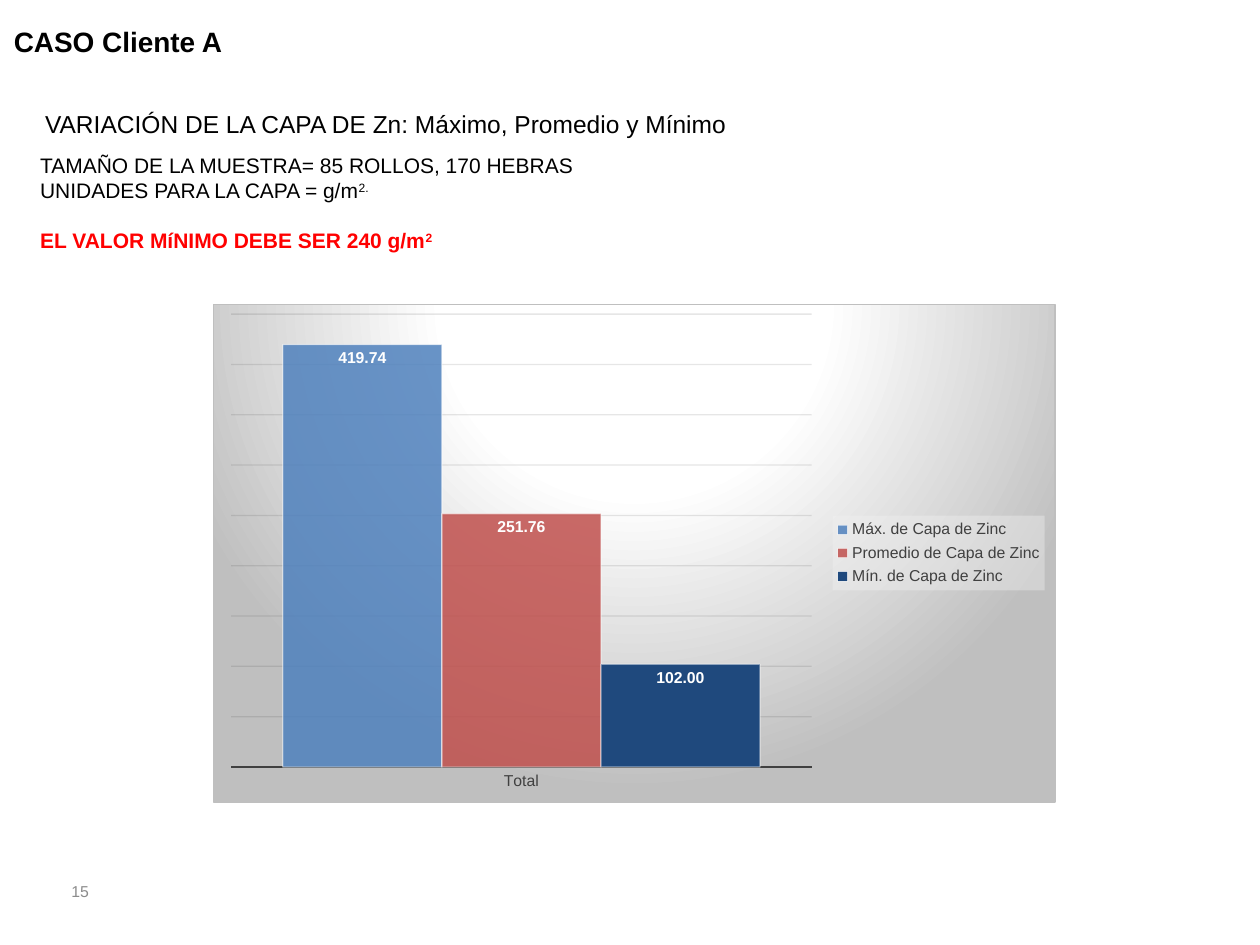
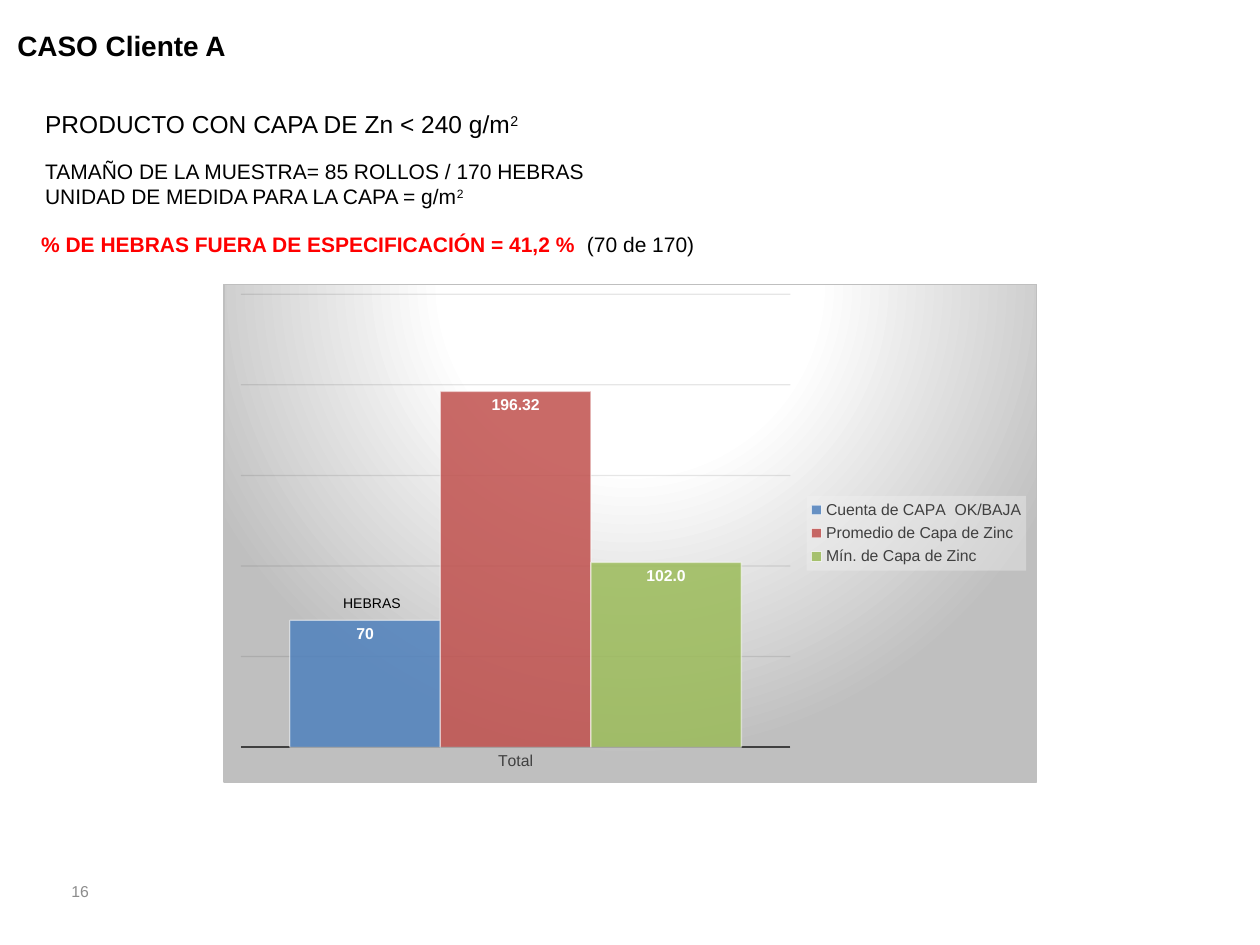
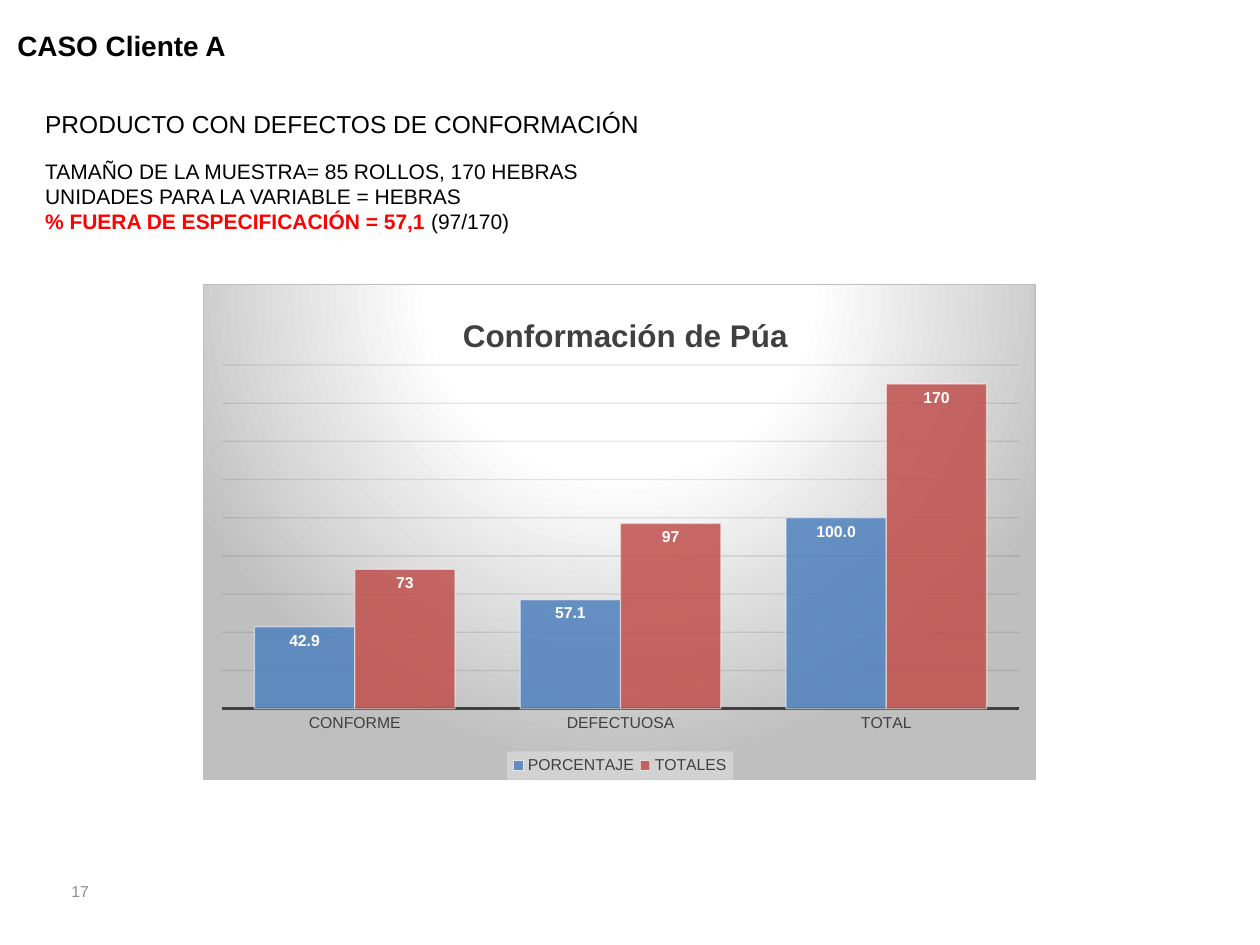
from pptx import Presentation
from pptx.chart.data import CategoryChartData
from pptx.dml.color import RGBColor
from pptx.enum.chart import XL_CHART_TYPE, XL_LABEL_POSITION, XL_LEGEND_POSITION, XL_TICK_MARK
from pptx.enum.text import PP_ALIGN
from pptx.oxml import parse_xml
from pptx.oxml.ns import nsdecls, qn
from pptx.util import Cm, Pt
from lxml.etree import SubElement

# Shared style
FONT = "Arial"
BLACK = RGBColor(0x00, 0x00, 0x00)
WHITE = RGBColor(0xFF, 0xFF, 0xFF)
RED = RGBColor(0xFF, 0x00, 0x00)
NUMBER_GRAY = RGBColor(0x8C, 0x8C, 0x8C)
CHART_GRAY = RGBColor(0x40, 0x40, 0x40)
GRID = RGBColor(0x0D, 0x0D, 0x0D)
BLUE = RGBColor(0x4F, 0x81, 0xBD)
BRICK = RGBColor(0xC0, 0x50, 0x4D)
GREEN = RGBColor(0x9B, 0xBB, 0x59)
NAVY = RGBColor(0x1F, 0x49, 0x7D)
FIRST_NUMBER = 15

CHART_BACKGROUND = f"""<c:spPr {nsdecls("c", "a")}>
  <a:gradFill><a:gsLst>
    <a:gs pos="0"><a:srgbClr val="FFFFFF"/></a:gs>
    <a:gs pos="39000"><a:srgbClr val="FFFFFF"/></a:gs>
    <a:gs pos="100000"><a:srgbClr val="BFBFBF"/></a:gs>
  </a:gsLst>
  <a:path path="circle"><a:fillToRect l="50000" t="-80000" r="50000" b="180000"/></a:path>
  </a:gradFill>
  <a:ln w="9525"><a:solidFill><a:srgbClr val="BFBFBF"/></a:solidFill></a:ln>
</c:spPr>"""
LEGEND_BACKGROUND = f"""<c:spPr {nsdecls("c", "a")}>
  <a:solidFill><a:srgbClr val="F2F2F2"><a:alpha val="39000"/></a:srgbClr></a:solidFill>
</c:spPr>"""


def add_text(page, area, size, paragraphs, bold=False, align=None, gap=0):
    """Each paragraph is a list of (text, color, raised); red text is bold."""
    box = page.shapes.add_textbox(*(Cm(length) for length in area))
    frame = box.text_frame
    frame.word_wrap = True
    for index, spans in enumerate(paragraphs):
        para = frame.paragraphs[0] if index == 0 else frame.add_paragraph()
        para.alignment = align
        para.font.name = FONT
        para.font.size = Pt(size)
        one_color = len({color for _, color, _ in spans}) == 1
        for text, color, raised in spans:
            span = para.add_run()
            span.text = text
            target = para.font if one_color else span.font
            target.color.rgb = color
            target.bold = bold or color == RED
            if raised:
                span.font._element.set("baseline", "30000")
    if gap:
        para.space_before = Pt(gap)


def place(element, index, **edges):
    """Give a chart part a manual layout, in fractions of the chart."""
    for old in element.findall(qn("c:layout")):
        element.remove(old)
    layout = parse_xml(f'<c:layout {nsdecls("c")}><c:manualLayout/></c:layout>')
    manual = layout[0]
    if element.tag == qn("c:plotArea"):
        SubElement(manual, qn("c:layoutTarget")).set("val", "inner")
    for mode in ("xMode", "yMode"):
        SubElement(manual, qn(f"c:{mode}")).set("val", "edge")
    for edge, value in edges.items():
        SubElement(manual, qn(f"c:{edge}")).set("val", str(value))
    element.insert(index, layout)


# Content: series are (name, values, color, label format)
pages = [
    dict(
        title_at=(0.03, 0.38),
        texts=[
            ((0.66, 2.08, 14.86, 0.86), 14, 0, [
                [("VARIACIÓN DE LA CAPA DE Zn: Máximo, Promedio y Mínimo", BLACK, False)]]),
            ((0.56, 2.95, 13.54, 2.82), 12, 14, [
                [("TAMAÑO DE LA MUESTRA= 85 ROLLOS, 170 HEBRAS", BLACK, False)],
                [("UNIDADES PARA LA CAPA = g/m", BLACK, False), ("2.", BLACK, True)],
                [("EL VALOR MíNIMO DEBE SER 240 g/m", RED, False), ("2", RED, True)]]),
        ],
        chart_area=(4.29, 6.12, 16.99, 10.06),
        plot=dict(x=0.021, y=0.02, w=0.69, h=0.91),
        scale=(450, 50),
        categories=["Total"],
        series=[("Máx. de Capa de Zinc", [419.74], BLUE, "0.00"),
                ("Promedio de Capa de Zinc", [251.76], BRICK, "0.00"),
                ("Mín. de Capa de Zinc", [102], NAVY, "0.00")],
    ),
    dict(
        title_at=(0.1, 0.46),
        texts=[
            ((0.66, 2.08, 12.7, 0.86), 14, 0, [
                [("PRODUCTO CON CAPA DE Zn < 240 g/m", BLACK, False), ("2", BLACK, True)]]),
            ((0.66, 3.07, 11.6, 1.27), 12, 0, [
                [("TAMAÑO DE LA MUESTRA= 85 ROLLOS / 170 HEBRAS", BLACK, False)],
                [("UNIDAD DE MEDIDA PARA LA CAPA = g/m", BLACK, False), ("2", BLACK, True)]]),
            ((0.58, 4.55, 14.12, 0.76), 12, 0, [
                [("% DE HEBRAS FUERA DE ESPECIFICACIÓN = 41,2 % ", RED, False),
                 (" (70 de 170)", BLACK, False)]]),
        ],
        chart_area=(4.5, 5.72, 16.41, 10.06),
        plot=dict(x=0.021, y=0.02, w=0.676, h=0.91),
        scale=(250, 50),
        categories=["Total"],
        series=[("Cuenta de CAPA  OK/BAJA", [70], BLUE, "0"),
                ("Promedio de Capa de Zinc", [196.32], BRICK, "0.00"),
                ("Mín. de Capa de Zinc", [102], GREEN, "0.0")],
        bar_note="HEBRAS",
    ),
    dict(
        title_at=(0.1, 0.46),
        texts=[
            ((0.66, 2.08, 12.7, 0.86), 14, 0, [
                [("PRODUCTO CON DEFECTOS DE CONFORMACIÓN", BLACK, False)]]),
            ((0.66, 3.07, 11.6, 1.8), 12, 0, [
                [("TAMAÑO DE LA MUESTRA= 85 ROLLOS, 170 HEBRAS", BLACK, False)],
                [("UNIDADES PARA LA VARIABLE = HEBRAS", BLACK, False)],
                [("% FUERA DE ESPECIFICACIÓN = 57,1 ", RED, False),
                 ("(97/170)", BLACK, False)]]),
        ],
        chart_area=(4.09, 5.72, 16.79, 10.01),
        plot=dict(x=0.022, y=0.163, w=0.959, h=0.694),
        scale=(180, 20),
        categories=["CONFORME", "DEFECTUOSA", "TOTAL"],
        series=[("PORCENTAJE", [42.9, 57.1, 100], BLUE, "0.0"),
                ("TOTALES", [73, 97, 170], BRICK, "0")],
        chart_title="Conformación de Púa",
    ),
]

deck = Presentation()
deck.slide_width = Cm(25.4)
deck.slide_height = Cm(19.05)

for number, content in enumerate(pages, FIRST_NUMBER):
    page = deck.slides.add_slide(deck.slide_layouts[6])

    # Chart
    data = CategoryChartData()
    data.categories = content["categories"]
    for name, values, _, _ in content["series"]:
        data.add_series(name, values)
    area = (Cm(length) for length in content["chart_area"])
    chart = page.shapes.add_chart(XL_CHART_TYPE.COLUMN_CLUSTERED, *area, data).chart
    chart.font.name = FONT
    chart.font.size = Pt(10)
    chart.font.color.rgb = BLACK
    chart_space = chart._chartSpace
    chart_space.find(qn("c:txPr")).addprevious(parse_xml(CHART_BACKGROUND))
    place(chart_space.find(f".//{qn('c:plotArea')}"), 0, **content["plot"])

    # Axes
    value_axis = chart.value_axis
    value_axis.visible = False
    value_axis.minimum_scale = 0
    value_axis.maximum_scale, value_axis.major_unit = content["scale"]
    grid_line = value_axis.major_gridlines.format.line
    grid_line.color.rgb = GRID
    grid_line.width = Pt(0.75)
    category_axis = chart.category_axis
    category_axis.major_tick_mark = XL_TICK_MARK.NONE
    category_axis.format.line.color.rgb = CHART_GRAY
    category_axis.format.line.width = Pt(1.5)

    # Legend
    chart.has_legend = True
    legend = chart.legend
    legend.include_in_layout = False
    for font in (category_axis.tick_labels.font, legend.font):
        font.name = FONT
        font.size = Pt(9)
        font.color.rgb = CHART_GRAY
    legend_element = legend._element
    legend_element.find(qn("c:txPr")).addprevious(parse_xml(LEGEND_BACKGROUND))

    # Chart title, with the legend below the plot
    chart_title = content.get("chart_title")
    chart.has_title = bool(chart_title)
    if chart_title:
        heading = chart.chart_title.text_frame.paragraphs[0]
        heading.text = chart_title
        heading.font.name = FONT
        heading.font.size = Pt(18)
        heading.font.bold = True
        heading.font.color.rgb = CHART_GRAY
        place(chart.chart_title._element, 1, x=0.305, y=0.05)
        legend.position = XL_LEGEND_POSITION.BOTTOM
        place(legend_element, 1, x=0.365, y=0.943, w=0.272, h=0.057)
    else:
        legend.position = XL_LEGEND_POSITION.RIGHT

    # Columns and their labels
    plot = chart.plots[0]
    plot.gap_width = 65
    plot.overlap = 0
    plot.vary_by_categories = False
    faded = [(value_axis._element.find(qn("c:majorGridlines")), 10)]
    for series, (_, _, color, label_format) in zip(plot.series, content["series"]):
        series.format.fill.solid()
        series.format.fill.fore_color.rgb = color
        series.format.line.color.rgb = WHITE
        series.format.line.width = Pt(0.75)
        look = series._element.find(qn("c:spPr"))
        faded.append((look.find(qn("a:ln")), 50))
        if color != NAVY:
            faded.append((look.find(qn("a:solidFill")), 85))
        labels = series.data_labels
        labels.show_value = True
        labels.position = XL_LABEL_POSITION.INSIDE_END
        labels.number_format = label_format
        labels.number_format_is_linked = False
        labels.font.name = FONT
        labels.font.size = Pt(9)
        labels.font.bold = True
        labels.font.color.rgb = WHITE
    for element, percent in faded:
        for color_element in element.iter(qn("a:srgbClr")):
            SubElement(color_element, qn("a:alpha")).set("val", str(percent * 1000))

    # Title, texts and page number
    add_text(page, (*content["title_at"], 12.4, 0.94), 16,
             [[("CASO Cliente A", BLACK, False)]], bold=True)
    for text_area, size, gap, paragraphs in content["texts"]:
        add_text(page, text_area, size, paragraphs, gap=gap)
    if "bar_note" in content:
        add_text(page, (6.6, 11.86, 1.8, 0.61), 8,
                 [[(content["bar_note"], BLACK, False)]], align=PP_ALIGN.CENTER)
    add_text(page, (1.19, 17.65, 1.24, 1.02), 9, [[(str(number), NUMBER_GRAY, False)]])

deck.save("out.pptx")
